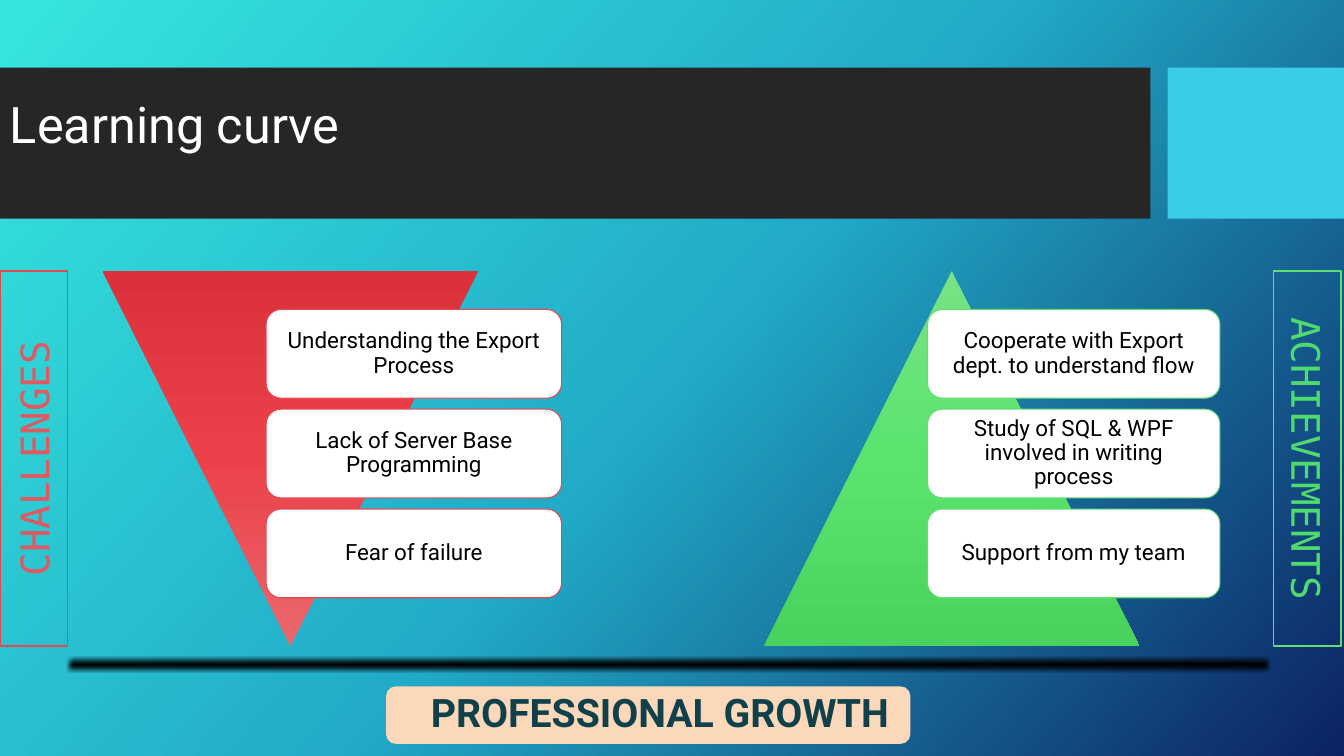
from lxml import etree
from pptx import Presentation
from pptx.dml.color import RGBColor
from pptx.enum.shapes import MSO_SHAPE
from pptx.enum.text import MSO_ANCHOR, PP_ALIGN
from pptx.oxml.ns import qn
from pptx.util import Inches, Pt

SLIDE_SIZE = (13.33, 7.5)
BACKGROUND = ["36E6DD", "21ABC8", "0C2263"]
TITLE = "Learning curve"
GOAL = "PROFESSIONAL GROWTH"
BAND_TOP, BAND_HEIGHT = 0.67, 1.5
SIDE_TOP, SIDE_HEIGHT, LABEL_WIDTH = 2.69, 3.72, 0.67
CARD_TOP, CARD_PITCH, CARD_HEIGHT = 3.07, 0.99, 0.88
CARD_SHIFT = 1.62
SIDES = [
    {
        "label": "CHALLENGES", "label_left": 0, "direction": "vert270",
        "label_color": "E25861", "line": "E44951",
        "triangle_left": 1.02, "rotation": 180,
        "gradient": ["E9676C", "EC414A", "DA313A"], "card_width": 2.93,
        "cards": ["Understanding the Export Process",
                  "Lack of Server Base Programming",
                  "Fear of failure"],
    },
    {
        "label": "ACHIEVEMENTS", "label_left": 12.63, "direction": "vert",
        "label_color": "50DB6F", "line": "60DE72",
        "triangle_left": 7.58, "rotation": 0,
        "gradient": ["77E385", "5AE46E", "49D25C"], "card_width": 2.9,
        "cards": ["Cooperate with Export dept. to understand flow",
                  "Study of SQL & WPF involved in writing process",
                  "Support from my team"],
    },
]


def rgb(value):
    return RGBColor.from_string(value)


def apply(target, values):
    for name, value in values.items():
        setattr(target, name, value)


def paint_gradient(fill, colors, angle):
    fill.gradient()
    properties = fill._xPr.find(qn("a:gradFill"))
    stops = properties.find(qn("a:gsLst"))
    for stop in list(stops):
        stops.remove(stop)
    for index, color in enumerate(colors):
        position = index * 100000 // (len(colors) - 1)
        stop = etree.SubElement(stops, qn("a:gs"), pos=str(position))
        etree.SubElement(stop, qn("a:srgbClr"), val=color)
    properties.find(qn("a:lin")).set("ang", str(angle * 60000))
    properties.set("rotWithShape", "1")


def add_block(page, kind, place, fill=None, line=None, width=1):
    block = page.shapes.add_shape(kind, *map(Inches, place))
    block.shadow.inherit = False
    if fill:
        block.fill.solid()
        block.fill.fore_color.rgb = rgb(fill)
    else:
        block.fill.background()
    if line:
        block.line.color.rgb = rgb(line)
        block.line.width = Pt(width)
    else:
        block.line.fill.background()
    return block


def write(box, text, color, size, font="Roboto", bold=False,
          align=PP_ALIGN.CENTER, anchor=MSO_ANCHOR.MIDDLE, spacing=1.0, inset=None):
    frame = box.text_frame
    apply(frame, {"word_wrap": True, "vertical_anchor": anchor})
    if inset is not None:
        sides = ("left", "top", "right", "bottom")
        apply(frame, {f"margin_{side}": Inches(inset) for side in sides})
    para = frame.paragraphs[0]
    apply(para, {"alignment": align, "line_spacing": spacing})
    span = para.add_run()
    span.text = text
    apply(span.font, {"name": font, "size": Pt(size), "bold": bold})
    span.font.color.rgb = rgb(color)


def add_side(page, side):
    triangle = add_block(page, MSO_SHAPE.ISOSCELES_TRIANGLE,
                         (side["triangle_left"], SIDE_TOP, SIDE_HEIGHT, SIDE_HEIGHT))
    paint_gradient(triangle.fill, side["gradient"], 90)
    triangle.rotation = side["rotation"]
    for row, text in enumerate(side["cards"]):
        place = (side["triangle_left"] + CARD_SHIFT, CARD_TOP + row * CARD_PITCH,
                 side["card_width"], CARD_HEIGHT)
        card = add_block(page, MSO_SHAPE.ROUNDED_RECTANGLE, place,
                         "FFFFFF", side["line"], 0.75)
        write(card, text, "000000", 16, spacing=0.9, inset=0.11)
    label = add_block(page, MSO_SHAPE.RECTANGLE,
                      (side["label_left"], SIDE_TOP, LABEL_WIDTH, SIDE_HEIGHT),
                      line=side["line"])
    write(label, side["label"], side["label_color"], 28, "DejaVu Sans Mono")
    label.text_frame._txBody.bodyPr.set("vert", side["direction"])


def main():
    deck = Presentation()
    deck.slide_width, deck.slide_height = map(Inches, SLIDE_SIZE)
    page = deck.slides.add_slide(deck.slide_layouts[6])
    paint_gradient(page.background.fill, BACKGROUND, 42)

    for left, width, color in [(0, 11.41, "262626"), (11.58, 1.75, "39CDE7")]:
        add_block(page, MSO_SHAPE.RECTANGLE,
                  (left, BAND_TOP, width, BAND_HEIGHT), color)
    title = page.shapes.add_textbox(*map(Inches, (0, BAND_TOP, 10.51, 1.18)))
    write(title, TITLE, "FFFFFF", 36, align=PP_ALIGN.LEFT, spacing=0.9)

    for side in SIDES:
        add_side(page, side)

    ground = add_block(page, MSO_SHAPE.RECTANGLE,
                       (LABEL_WIDTH, 6.52, 11.92, 0.15), "000000", "000000")
    effects = ground._element.spPr.find(qn("a:effectLst"))
    etree.SubElement(effects, qn("a:softEdge"), rad="31750")

    add_block(page, MSO_SHAPE.ROUNDED_RECTANGLE, (3.83, 6.81, 5.2, 0.57), "FBD8B9")
    goal = page.shapes.add_textbox(*map(Inches, (3.83, 6.78, 5.43, 0.57)))
    write(goal, GOAL, "10404A", 28, bold=True, anchor=MSO_ANCHOR.TOP)
    deck.save("out.pptx")


if __name__ == "__main__":
    main()
